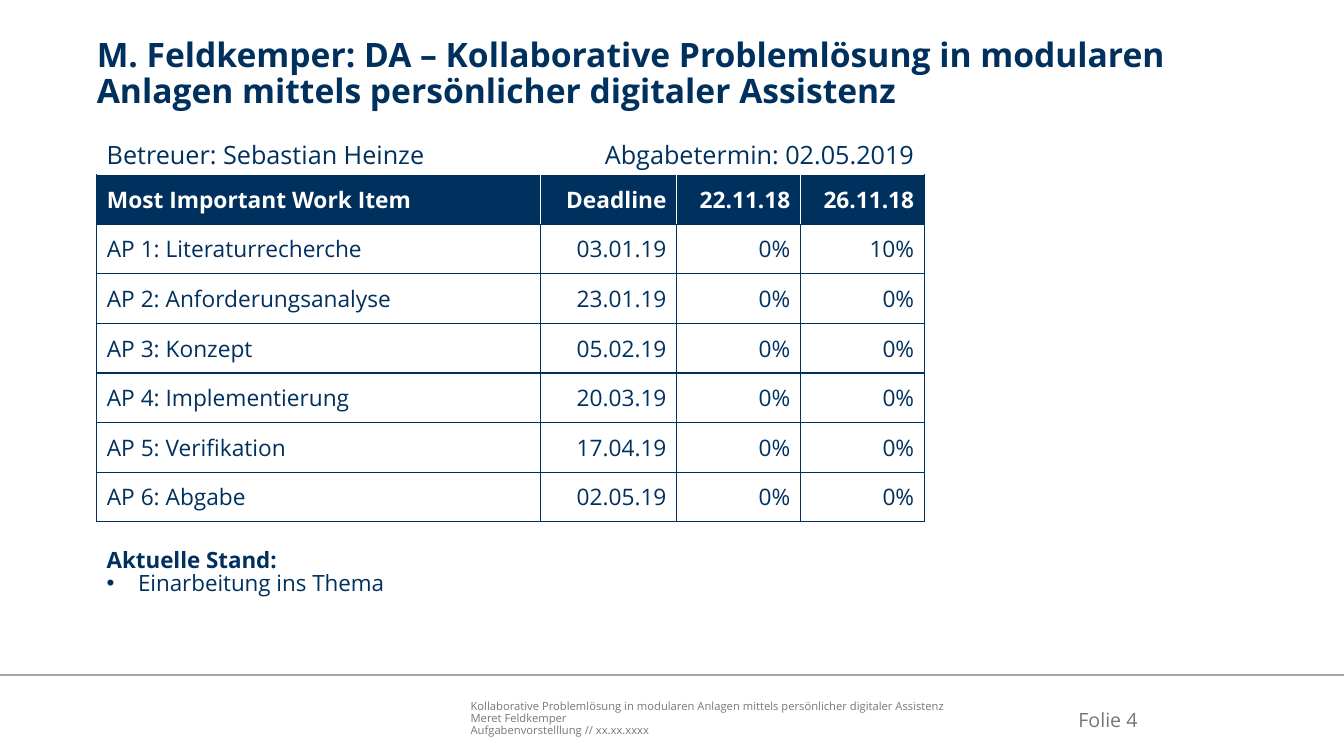
from lxml.etree import SubElement
from pptx import Presentation
from pptx.dml.color import RGBColor
from pptx.enum.shapes import MSO_CONNECTOR
from pptx.enum.text import MSO_ANCHOR as Anchor, PP_ALIGN as Align
from pptx.oxml.ns import qn
from pptx.util import Cm, Pt

NAVY = RGBColor(0x00, 0x30, 0x5E)
WHITE = RGBColor(0xFF, 0xFF, 0xFF)
GREY = RGBColor(0x72, 0x78, 0x79)
RULE_GREY = RGBColor(0xA6, 0xA6, 0xA6)
FONT = "Open Sans"

TITLE = ("M. Feldkemper: DA – Kollaborative Problemlösung in modularen "
         "Anlagen mittels persönlicher digitaler Assistenz")
SUPERVISOR = "Betreuer: Sebastian Heinze"
DUE_DATE = "Abgabetermin: 02.05.2019"
WORK_ITEMS = [
    ("Most Important Work Item", "Deadline", "22.11.18", "26.11.18"),
    ("AP 1: Literaturrecherche", "03.01.19", "0%", "10%"),
    ("AP 2: Anforderungsanalyse", "23.01.19", "0%", "0%"),
    ("AP 3: Konzept", "05.02.19", "0%", "0%"),
    ("AP 4: Implementierung", "20.03.19", "0%", "0%"),
    ("AP 5: Verifikation", "17.04.19", "0%", "0%"),
    ("AP 6: Abgabe", "02.05.19", "0%", "0%"),
]
STATUS_HEADING = "Aktuelle Stand:"
STATUS_POINT = "Einarbeitung ins Thema"
FOOTER = [
    "Kollaborative Problemlösung in modularen Anlagen mittels persönlicher digitaler Assistenz",
    "Meret Feldkemper",
    "Aufgabenvorstelllung // xx.xx.xxxx",
]
PAGE_NUMBER = "Folie 4"

SLIDE_WIDTH, SLIDE_HEIGHT = 33.87, 19.05
LEFT = 2.44
COLUMN_WIDTHS = [11.18, 3.43, 3.12, 3.12]
TABLE_WIDTH = sum(COLUMN_WIDTHS)
TABLE_TOP, ROW_HEIGHT = 4.4, 1.25
RULE_TOP = 17.01


def write(para, text, size=16, color=NAVY, bold=False, align=Align.LEFT, spacing=1.0):
    para.alignment = align
    para.line_spacing = spacing
    span = para.add_run()
    span.text = text
    span.font.name = FONT
    span.font.size = Pt(size)
    span.font.color.rgb = color
    span.font.bold = bold


def add_text(slide, place, lines, inset=True, anchor=Anchor.TOP, wrap=True, **text_format):
    box = slide.shapes.add_textbox(*(Cm(length) for length in place))
    frame = box.text_frame
    frame.word_wrap = wrap
    frame.vertical_anchor = anchor
    if not inset:
        frame.margin_left = frame.margin_right = frame.margin_top = frame.margin_bottom = 0
    for index, line in enumerate(lines):
        para = frame.add_paragraph() if index else frame.paragraphs[0]
        write(para, line, **text_format)
    return frame


def add_bullet(para, indent):
    properties = para._p.get_or_add_pPr()
    properties.set("marL", str(Cm(indent)))
    properties.set("indent", str(-Cm(indent)))
    SubElement(properties, qn("a:buFont"), typeface="Arial")
    SubElement(properties, qn("a:buChar"), char="•")


def set_borders(cell, colors):
    """Draw 1 pt cell borders; colors are given as left, right, top, bottom."""
    properties = cell._tc.get_or_add_tcPr()
    for position, (side, color) in enumerate(zip("LRTB", colors)):
        line = properties.makeelement(qn(f"a:ln{side}"), {"w": str(Pt(1))})
        fill = SubElement(line, qn("a:solidFill"))
        SubElement(fill, qn("a:srgbClr"), val=str(color))
        properties.insert(position, line)


def add_work_table(slide):
    rows, columns = len(WORK_ITEMS), len(COLUMN_WIDTHS)
    frame = slide.shapes.add_table(rows, columns, Cm(LEFT), Cm(TABLE_TOP),
                                   Cm(TABLE_WIDTH), Cm(rows * ROW_HEIGHT))
    table = frame.table
    for column, width in zip(table.columns, COLUMN_WIDTHS):
        column.width = Cm(width)
    for r, item in enumerate(WORK_ITEMS):
        table.rows[r].height = Cm(ROW_HEIGHT)
        header = r == 0
        for c, text in enumerate(item):
            cell = table.cell(r, c)
            cell.vertical_anchor = Anchor.MIDDLE
            cell.fill.solid()
            cell.fill.fore_color.rgb = NAVY if header else WHITE
            write(cell.text_frame.paragraphs[0], text, size=16.2, bold=header,
                  color=WHITE if header else NAVY,
                  align=Align.RIGHT if c else Align.LEFT)
            left = WHITE if header and c > 0 else NAVY
            right = WHITE if header and c < columns - 1 else NAVY
            set_borders(cell, (left, right, WHITE if header else NAVY, NAVY))


def add_footer(slide):
    add_text(slide, (11.86, 17.55, 12.47, 1.02), FOOTER, inset=False,
             anchor=Anchor.BOTTOM, size=8, color=GREY, spacing=0.88)
    rule = slide.shapes.add_connector(MSO_CONNECTOR.STRAIGHT, 0, Cm(RULE_TOP),
                                      Cm(SLIDE_WIDTH), Cm(RULE_TOP))
    rule.line.color.rgb = RULE_GREY
    rule.line.width = Pt(1)
    SubElement(rule._element.spPr, qn("a:effectLst"))
    add_text(slide, (26.16, 17.45, 2.51, 0.97), [PAGE_NUMBER], inset=False,
             anchor=Anchor.BOTTOM, size=14, color=GREY, align=Align.RIGHT)


def main():
    deck = Presentation()
    deck.slide_width, deck.slide_height = Cm(SLIDE_WIDTH), Cm(SLIDE_HEIGHT)
    page = deck.slides.add_slide(deck.slide_layouts[6])

    add_footer(page)
    add_text(page, (LEFT, 0.97, 29.39, 1.91), [TITLE], inset=False,
             size=24, bold=True, spacing=0.9)
    add_work_table(page)
    add_text(page, (LEFT, 3.38, 8.59, 1.02), [SUPERVISOR], wrap=False, size=18)
    add_text(page, (LEFT + TABLE_WIDTH - 8.36, 3.38, 8.36, 1.02), [DUE_DATE],
             wrap=False, size=18, align=Align.RIGHT)
    status = add_text(page, (LEFT, 13.64, TABLE_WIDTH, 1.63), [STATUS_HEADING], bold=True)
    point = status.add_paragraph()
    write(point, STATUS_POINT, spacing=0.85)
    add_bullet(point, 0.79)

    deck.save("out.pptx")


if __name__ == "__main__":
    main()
